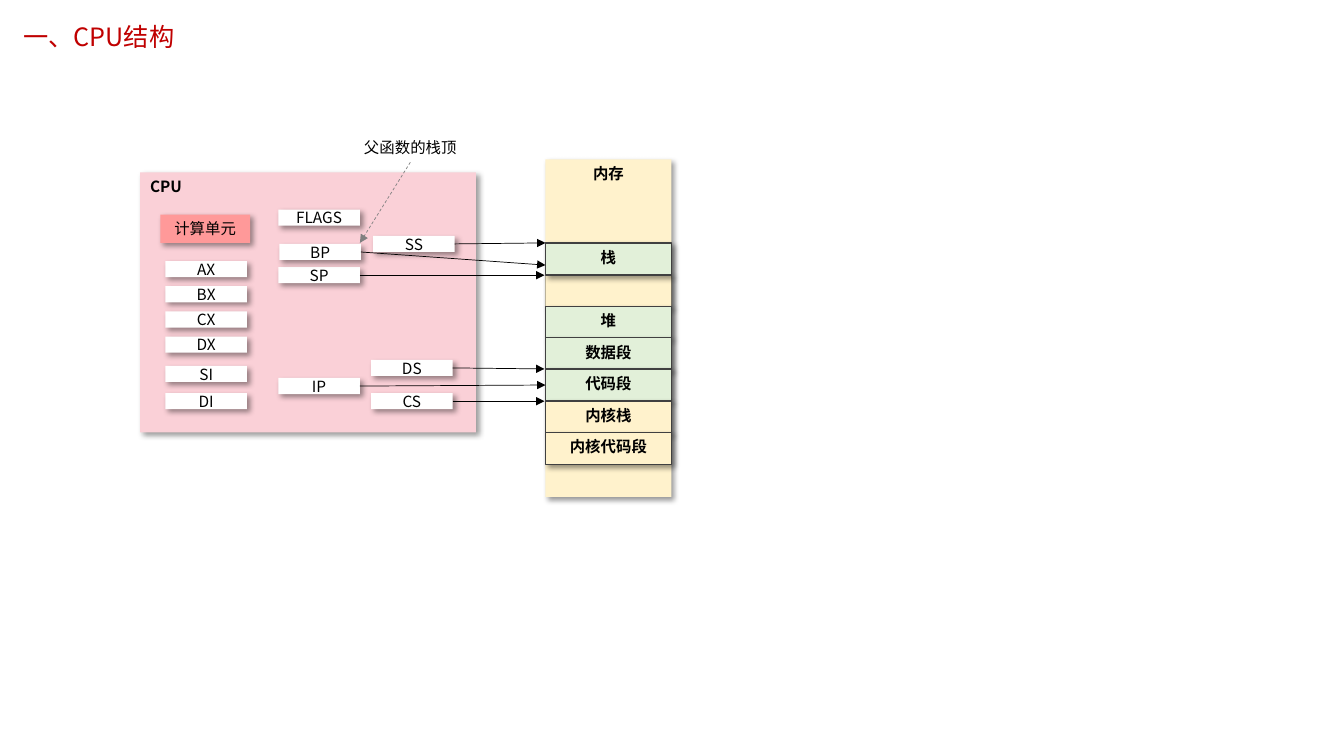
from lxml.etree import SubElement
from pptx import Presentation
from pptx.dml.color import RGBColor
from pptx.enum.dml import MSO_LINE
from pptx.enum.shapes import MSO_CONNECTOR, MSO_SHAPE
from pptx.enum.text import MSO_ANCHOR, MSO_AUTO_SIZE, PP_ALIGN
from pptx.oxml.ns import qn
from pptx.util import Inches, Pt

FONT = "Noto Sans CJK SC"
CREAM, GREEN, PINK, CORAL = "FFF2CC", "E2F0D9", "FAD0D7", "FF9999"
rgb = RGBColor.from_string

deck = Presentation()
deck.slide_width, deck.slide_height = Inches(13.33), Inches(7.5)
slide = deck.slides.add_slide(deck.slide_layouts[5])


def write(shape, text, size=11, color="000000", bold=False,
          align=PP_ALIGN.CENTER, anchor=MSO_ANCHOR.TOP):
    frame = shape.text_frame
    frame.word_wrap = True
    frame.vertical_anchor = anchor
    para = frame.paragraphs[0]
    para.alignment = align
    run = para.add_run()
    run.text = text
    run.font.size, run.font.bold, run.font.name = Pt(size), bold, FONT
    run.font.color.rgb = rgb(color)
    SubElement(run._r.get_or_add_rPr(), qn("a:ea"), typeface=FONT)


def block(left, top, width, height, fill, edge=False):
    shape = slide.shapes.add_shape(MSO_SHAPE.RECTANGLE, Inches(left),
                                   Inches(top), Inches(width), Inches(height))
    shape.fill.solid()
    shape.fill.fore_color.rgb = rgb(fill)
    if edge:
        shape.line.color.rgb = rgb("404040")
        shape.line.width = Pt(1)
    else:
        shape.line.fill.background()
    # Soft shadow to the lower right
    shape.shadow.inherit = False
    glow = SubElement(shape._element.spPr.find(qn("a:effectLst")),
                      qn("a:outerShdw"), blurRad=str(Pt(4)), dist=str(Pt(3)),
                      dir="2700000", algn="tl", rotWithShape="0")
    tint = SubElement(glow, qn("a:srgbClr"), val="000000")
    SubElement(tint, qn("a:alpha"), val="40000")
    return shape


# Title
title = slide.shapes.title
title.left, title.top = Inches(0.13), Inches(0.16)
title.width, title.height = Inches(2.71), Inches(0.4)
write(title, "一、CPU结构", 18, "C00000", align=PP_ALIGN.LEFT)
title.text_frame.auto_size = MSO_AUTO_SIZE.SHAPE_TO_FIT_TEXT

# Frame of the gap between stack and heap
block(5.41, 2.73, 1.25, 0.32, CREAM, edge=True)

# CPU with its computing unit
cpu = block(1.39, 1.71, 3.33, 2.58, PINK)
write(cpu, "CPU", bold=True, align=PP_ALIGN.LEFT)
unit = block(1.59, 2.13, 0.89, 0.28, CORAL)
write(unit, "计算单元", anchor=MSO_ANCHOR.MIDDLE)

# Memory and its segments
memory = block(5.41, 1.58, 1.25, 3.35, CREAM)
write(memory, "内存", bold=True)
parts = {}
for name, top, fill in [("栈", 2.41, GREEN), ("堆", 3.04, GREEN),
                        ("数据段", 3.35, GREEN), ("代码段", 3.66, GREEN),
                        ("内核栈", 3.98, CREAM), ("内核代码段", 4.29, CREAM)]:
    parts[name] = block(5.41, top, 1.25, 0.32, fill, edge=True)
    write(parts[name], name, bold=True)

# Registers
regs = {}
for name, left, top in [
        ("SS", 3.7, 2.34), ("DS", 3.68, 3.57), ("CS", 3.68, 3.9),
        ("SP", 2.76, 2.65), ("BP", 2.77, 2.42), ("IP", 2.76, 3.75),
        ("FLAGS", 2.76, 2.08), ("AX", 1.64, 2.59), ("BX", 1.64, 2.84),
        ("CX", 1.64, 3.09), ("DX", 1.64, 3.34), ("SI", 1.64, 3.63),
        ("DI", 1.64, 3.9)]:
    regs[name] = block(left, top, 0.81, 0.16, "FFFFFF")
    write(regs[name], name, anchor=MSO_ANCHOR.MIDDLE)

# Note on the base pointer
note = slide.shapes.add_textbox(Inches(3.42), Inches(1.32),
                                Inches(1.3), Inches(0.29))
write(note, "父函数的栈顶")
note.text_frame.auto_size = MSO_AUTO_SIZE.SHAPE_TO_FIT_TEXT

# Arrows: source, its side, end point, colour
for source, side, x, y, color in [
        (regs["SS"], 3, 5.41, 2.41, "000000"),
        (regs["DS"], 3, 5.4, 3.66, "000000"),
        (regs["CS"], 3, 5.4, 3.98, "000000"),
        (regs["IP"], 3, 5.41, 3.82, "000000"),
        (regs["SP"], 3, 5.4, 2.73, "000000"),
        (regs["BP"], 3, 5.41, 2.63, "000000"),
        (note, 2, 3.57, 2.41, "808080")]:
    arrow = slide.shapes.add_connector(MSO_CONNECTOR.STRAIGHT, 0, 0,
                                       Inches(x), Inches(y))
    arrow.begin_connect(source, side)
    if source is regs["IP"]:
        arrow.end_connect(parts["代码段"], 1)
    arrow.line.color.rgb = rgb(color)
    arrow.line.width = Pt(0.5)
    if source is note:
        arrow.line.dash_style = MSO_LINE.DASH
    SubElement(arrow.line._get_or_add_ln(), qn("a:tailEnd"), type="triangle")
    SubElement(arrow._element.spPr, qn("a:effectLst"))

deck.save("out.pptx")
